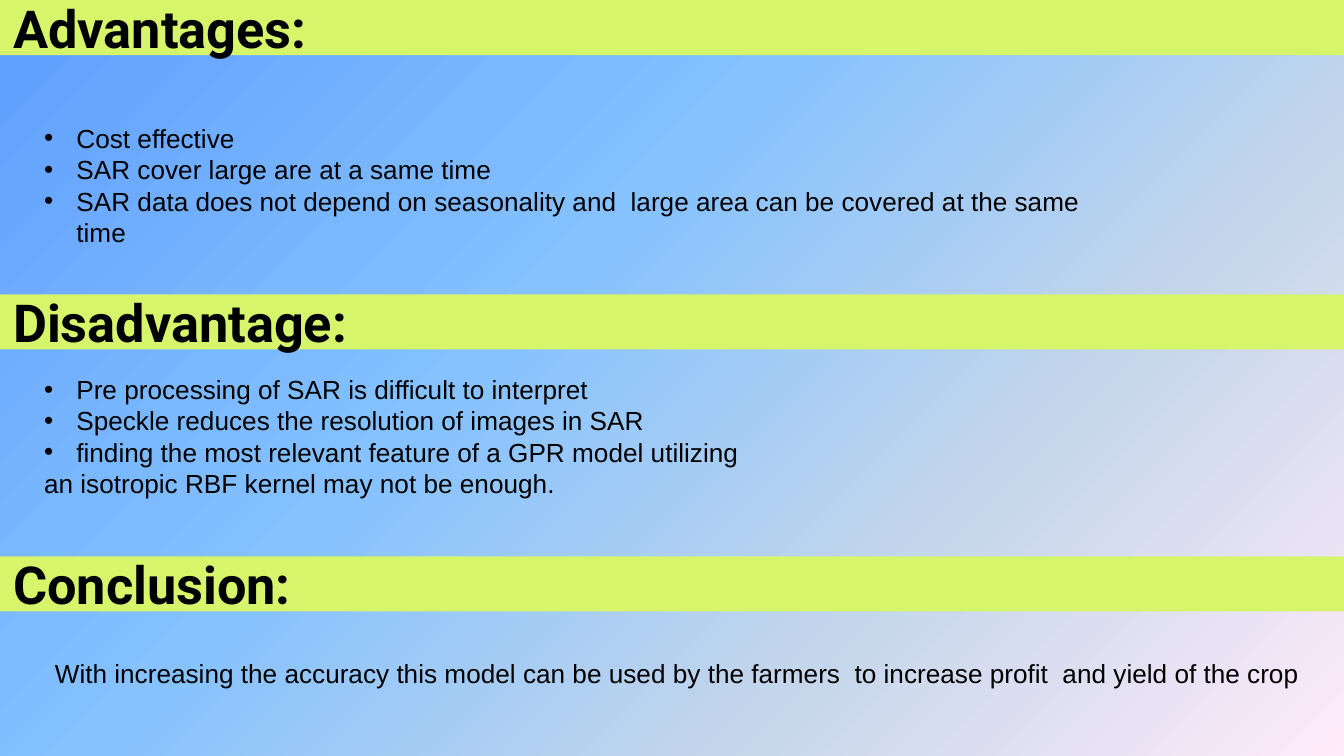
import lxml.etree
import pptx
import pptx.dml.color
import pptx.enum.shapes
import pptx.enum.text
import pptx.oxml.ns
import pptx.util

Inches = pptx.util.Inches
RGBColor = pptx.dml.color.RGBColor
qn = pptx.oxml.ns.qn

BLACK = RGBColor(0x00, 0x00, 0x00)
LIME = RGBColor(0xD7, 0xF5, 0x6B)
SKY_STOPS = [
    (0, RGBColor(0x5E, 0x9E, 0xFF)),
    (40, RGBColor(0x85, 0xC2, 0xFF)),
    (70, RGBColor(0xC4, 0xD6, 0xEB)),
    (100, RGBColor(0xFF, 0xEB, 0xFA)),
]

SLIDE_WIDTH = 10
SLIDE_HEIGHT = SLIDE_WIDTH * 9 / 16
BAND_HEIGHT = 0.41
BULLET_INDENT = 0.24

# Heading, band top, body box, whether the body wraps, (line, bulleted) pairs
SECTIONS = [
    ("Advantages:", 0, (0.23, 0.86, 8.19, 0.81), True, [
        ("Cost effective", True),
        ("SAR cover large are at a same time", True),
        ("SAR data does not depend on seasonality and  large area "
         "can be covered at the same time", True),
    ]),
    ("Disadvantage:", 2.19, (0.23, 2.73, 8.03, 1.04), True, [
        ("Pre processing of SAR is difficult to interpret", True),
        ("Speckle reduces the resolution of images in SAR", True),
        ("finding the most relevant feature of a GPR model utilizing", True),
        ("an isotropic RBF kernel may not be enough.", False),
    ]),
    ("Conclusion:", 4.14, (0.31, 4.84, 9.5, 0.34), False, [
        ("With increasing the accuracy this model can be used by the farmers  "
         "to increase profit  and yield of the crop", False),
    ]),
]


def write_text(paragraph, text, size=14, font="Arial", bold=False, bulleted=False):
    paragraph.alignment = pptx.enum.text.PP_ALIGN.LEFT
    run = paragraph.add_run()
    run.text = text
    run.font.size = pptx.util.Pt(size)
    run.font.name = font
    run.font.bold = bold
    run.font.color.rgb = BLACK
    if bulleted:
        properties = paragraph._p.get_or_add_pPr()
        properties.set("marL", str(Inches(BULLET_INDENT)))
        properties.set("indent", str(-Inches(BULLET_INDENT)))
        bullet_font = lxml.etree.SubElement(properties, qn("a:buFont"))
        bullet_font.set("typeface", "Arial")
        lxml.etree.SubElement(properties, qn("a:buChar")).set("char", "•")


def paint_background(slide):
    fill = slide.background.fill
    fill.gradient()
    gradient = slide.background._cSld.find(".//" + qn("a:gradFill"))
    stops = gradient.find(qn("a:gsLst"))
    for stop in list(stops):
        stops.remove(stop)
    for percent, color in SKY_STOPS:
        stop = lxml.etree.SubElement(stops, qn("a:gs"), pos=str(percent * 1000))
        lxml.etree.SubElement(stop, qn("a:srgbClr"), val=str(color))
    # python-pptx counts angles counter-clockwise
    fill.gradient_angle = 315


def add_heading_band(slide, heading, left, top, width, height):
    band = slide.shapes.add_shape(
        pptx.enum.shapes.MSO_SHAPE.RECTANGLE,
        Inches(left), Inches(top), Inches(width), Inches(height))
    band.shadow.inherit = False
    band.fill.solid()
    band.fill.fore_color.rgb = LIME
    band.line.fill.background()
    frame = band.text_frame
    frame.word_wrap = True
    frame.vertical_anchor = pptx.enum.text.MSO_ANCHOR.MIDDLE
    frame.margin_left = frame.margin_right = Inches(0.1)
    frame.margin_top = frame.margin_bottom = Inches(0.1)
    write_text(frame.paragraphs[0], heading, size=28, font="Roboto", bold=True)


def add_body(slide, lines, wraps, left, top, width, height):
    body = slide.shapes.add_textbox(
        Inches(left), Inches(top), Inches(width), Inches(height))
    frame = body.text_frame
    frame.word_wrap = wraps
    for number, (line, bulleted) in enumerate(lines):
        paragraph = frame.add_paragraph() if number else frame.paragraphs[0]
        write_text(paragraph, line, bulleted=bulleted)


def main():
    deck = pptx.Presentation()
    deck.slide_width = Inches(SLIDE_WIDTH)
    deck.slide_height = Inches(SLIDE_HEIGHT)
    slide = deck.slides.add_slide(deck.slide_layouts[6])

    paint_background(slide)
    for heading, band_top, body_box, wraps, lines in SECTIONS:
        add_heading_band(slide, heading, 0, band_top, SLIDE_WIDTH, BAND_HEIGHT)
        add_body(slide, lines, wraps, *body_box)

    deck.save("out.pptx")


if __name__ == "__main__":
    main()
